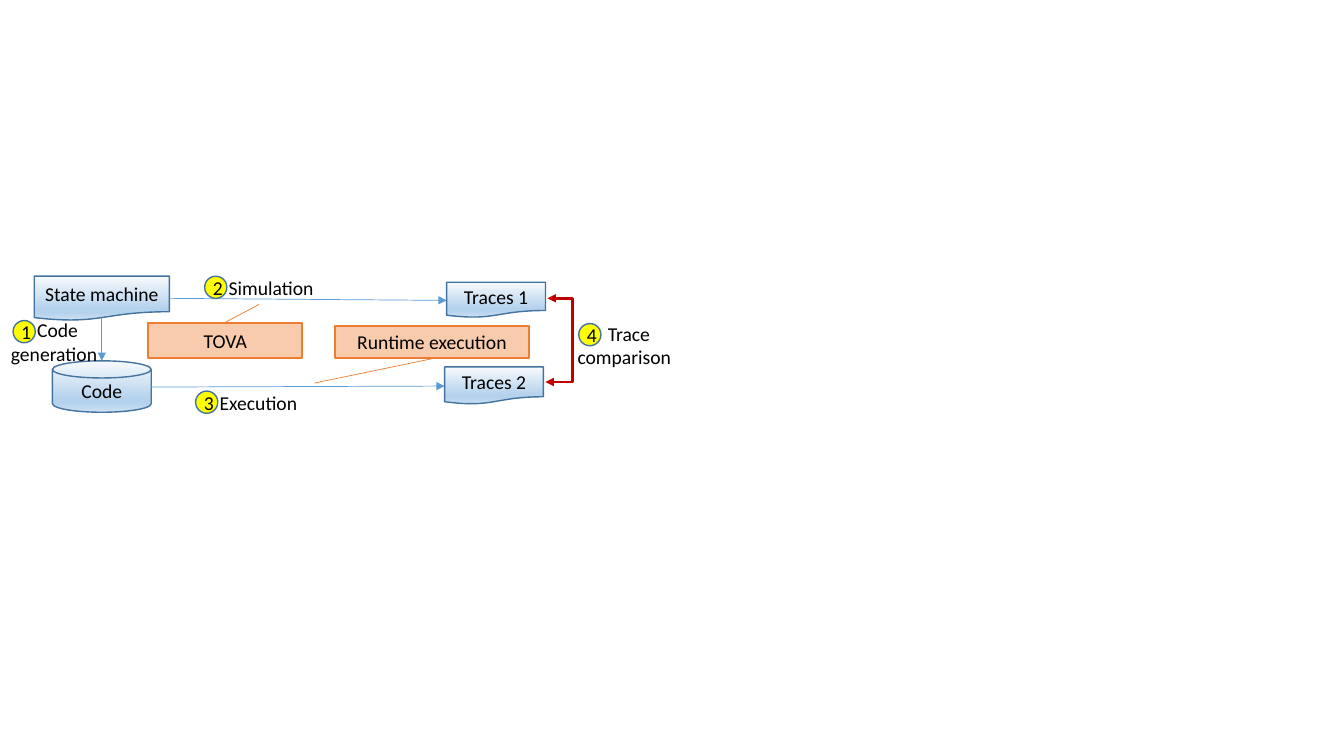
"""Build a slide that compares traces of simulation and of generated code."""
import pptx
import pptx.util
import pptx.dml.color
import pptx.enum.shapes
import pptx.enum.text
import pptx.oxml
import pptx.oxml.ns

Inches = pptx.util.Inches
Shape = pptx.enum.shapes.MSO_SHAPE
Link = pptx.enum.shapes.MSO_CONNECTOR
Anchor = pptx.enum.text.MSO_ANCHOR
Align = pptx.enum.text.PP_ALIGN


def color(text):
    return pptx.dml.color.RGBColor.from_string(text)


def add_xml(parent, tag, **attrs):
    node = pptx.oxml.parse_xml(f"<{tag} {pptx.oxml.ns.nsdecls('a')}/>")
    for name, value in attrs.items():
        node.set(name, str(value))
    parent.append(node)
    return node


class Board:
    font, size, ink = "Calibri", 14, "000000"
    edge, blue, orange, red = "43739E", "5B9BD5", "ED7D31", "C00000"
    peach, yellow = "F8CBAD", "FFFF00"
    stops = ((0, "F7FAFD"), (74, "B5D2EC"), (83, "B5D2EC"), (100, "CEE1F2"))

    def __init__(self, slide):
        self.slide = slide

    def letter(self, shape, text, align):
        para = shape.text_frame.paragraphs[0]
        para.text = text
        para.alignment = align
        para.font.name = self.font
        para.font.size = pptx.util.Pt(self.size)
        para.font.color.rgb = color(self.ink)
        return para

    def shade(self, shape):
        shape.fill.gradient()
        shape.fill.gradient_angle = 270
        stops = shape._element.spPr.find(".//" + pptx.oxml.ns.qn("a:gsLst"))
        for old in list(stops):
            stops.remove(old)
        for pos, tone in self.stops:
            stop = add_xml(stops, "a:gs", pos=pos * 1000)
            add_xml(stop, "a:srgbClr", val=tone)

    def box(self, kind, text, place, fill=None, line=edge, width=1, left=0):
        shape = self.slide.shapes.add_shape(kind, *map(Inches, place))
        shape.shadow.inherit = False
        if fill:
            shape.fill.solid()
            shape.fill.fore_color.rgb = color(fill)
        else:
            self.shade(shape)
        shape.line.color.rgb = color(line)
        shape.line.width = pptx.util.Pt(width)
        frame = shape.text_frame
        frame.margin_left = Inches(left)
        frame.margin_right = frame.margin_top = frame.margin_bottom = 0
        frame.vertical_anchor = Anchor.MIDDLE
        self.letter(shape, text, Align.CENTER)

    def tool(self, text, place):
        self.box(Shape.RECTANGLE, text, place, self.peach, self.orange, 1.5)

    def label(self, text, place, indent):
        shape = self.slide.shapes.add_textbox(*map(Inches, place))
        shape.text_frame.word_wrap = True
        shape.text_frame.margin_right = 0
        para = self.letter(shape, text, Align.LEFT)
        para._p.get_or_add_pPr().set("indent", str(Inches(indent)))

    def step(self, number, text, place, dot, indent=0.3):
        self.label(text, place, indent)
        self.box(Shape.OVAL, number, (*dot, 0.22, 0.22), self.yellow, left=0.04)

    def link(self, start, end, line=blue, width=0.5, ends=("tailEnd",), bend=None):
        kind = Link.STRAIGHT if bend is None else Link.ELBOW
        wire = self.slide.shapes.add_connector(kind, *map(Inches, start + end))
        wire.line.color.rgb = color(line)
        wire.line.width = pptx.util.Pt(width)
        props = wire._element.spPr
        if bend is not None:
            guides = props.find(".//" + pptx.oxml.ns.qn("a:avLst"))
            add_xml(guides, "a:gd", name="adj1", fmla=f"val {int(bend * 100000)}")
        for tip in ends:
            add_xml(props.find(pptx.oxml.ns.qn("a:ln")), "a:" + tip, type="triangle")
        add_xml(props, "a:effectLst")


deck = pptx.Presentation()
deck.slide_width, deck.slide_height = Inches(13.33), Inches(7.5)
board = Board(deck.slides.add_slide(deck.slide_layouts[6]))

board.box(Shape.FLOWCHART_DOCUMENT, "State machine", (0.34, 2.74, 1.34, 0.44))
board.box(Shape.FLOWCHART_MAGNETIC_DISK, "Code", (0.52, 3.58, 0.98, 0.51))
for start, end in (
    ((1.01, 3.15), (1.01, 3.58)),
    ((1.68, 2.96), (4.43, 2.98)),
    ((1.5, 3.84), (4.41, 3.83)),
):
    board.link(start, end)
board.box(Shape.FLOWCHART_DOCUMENT, "Traces 1", (4.43, 2.8, 0.98, 0.35))
board.box(Shape.FLOWCHART_DOCUMENT, "Traces 2", (4.41, 3.64, 0.98, 0.37))

board.tool("Runtime execution", (3.32, 3.23, 1.93, 0.32))
board.tool("TOVA", (1.47, 3.2, 1.53, 0.35))
for start, end in (((2.23, 3.2), (2.57, 3.02)), ((3.12, 3.8), (4.28, 3.56))):
    board.link(start, end, board.orange, ends=())
board.link((5.43, 2.96), (5.41, 3.79), board.red, 2, ("headEnd", "tailEnd"), -12.5)

board.step("1", "Code\vgeneration", (0.01, 3.11, 1.07, 0.57), (0.13, 3.18), 0.26)
board.step("4", "Trace\vcomparison", (5.63, 3.14, 1.14, 0.57), (5.74, 3.21))
board.step("2", "Simulation", (1.87, 2.69, 1.4, 0.34), (2.03, 2.74))
board.step("3", "Execution", (1.78, 3.83, 1.33, 0.34), (1.94, 3.88))

deck.save("out.pptx")
